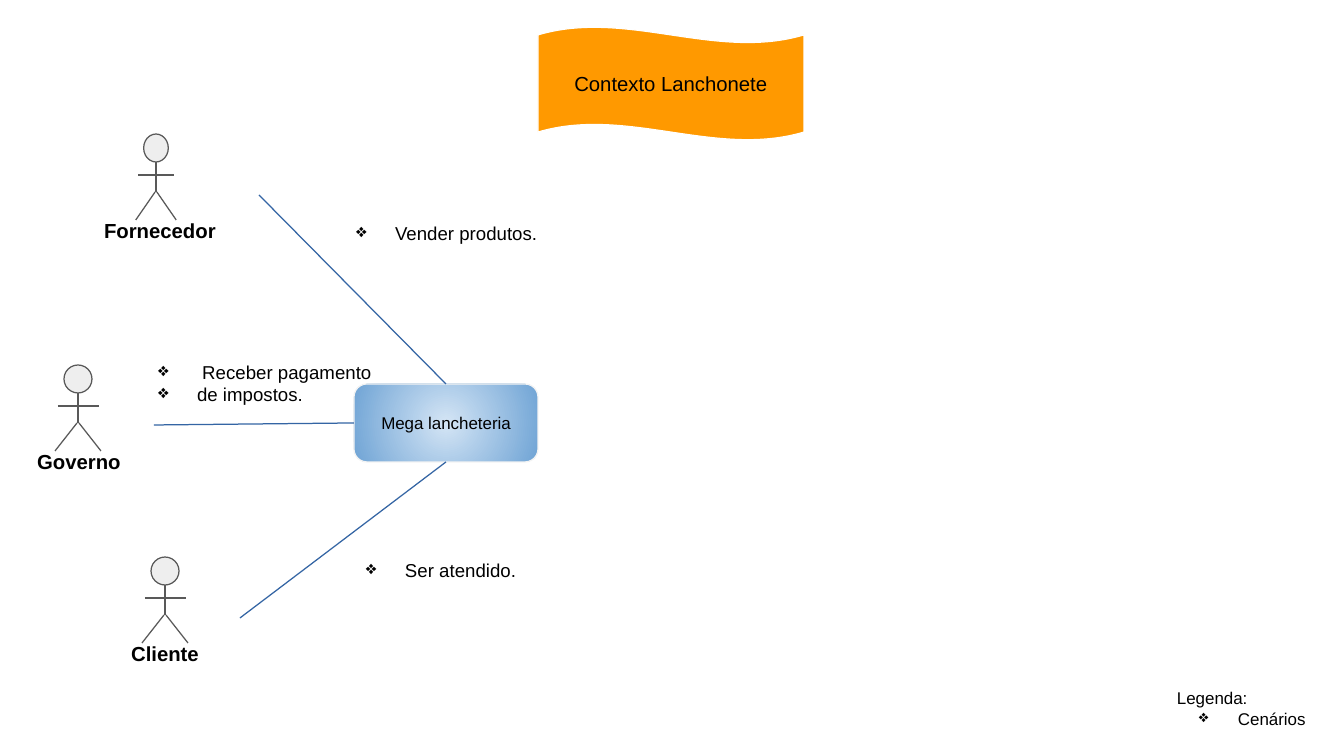
"""Builds the context diagram of a snack bar with its actors and scenarios."""
import pptx
import pptx.util
import pptx.dml.color
import pptx.enum.shapes
import pptx.enum.text
import pptx.oxml
import pptx.oxml.ns

PX = 914400 / 122
SHAPE = pptx.enum.shapes.MSO_SHAPE
ALIGN = pptx.enum.text.PP_ALIGN
qn = pptx.oxml.ns.qn


def px(*values):
    return [pptx.util.Emu(round(v * PX)) for v in values]


def rgb(value):
    return pptx.dml.color.RGBColor.from_string(value)


def write(sp, text, size, bold=False, align=ALIGN.LEFT, bullets_from=None,
          anchor=pptx.enum.text.MSO_ANCHOR.TOP):
    tf = sp.text_frame
    tf.word_wrap = True
    tf.vertical_anchor = anchor
    tf.margin_left = tf.margin_right = tf.margin_top = tf.margin_bottom = px(12)[0]
    for i, line in enumerate(text.split("\n")):
        p = tf.paragraphs[0] if i == 0 else tf.add_paragraph()
        p.alignment = align
        r = p.add_run()
        r.text = line
        r.font.name = "Arial"
        r.font.size = pptx.util.Pt(size)
        r.font.bold = bold
        r.font.color.rgb = rgb("000000")
        if bullets_from is not None and i >= bullets_from:
            pPr = p._p.get_or_add_pPr()
            indent, hanging = px(61, -39)
            pPr.set("marL", str(indent))
            pPr.set("indent", str(hanging))
            bullet = pptx.oxml.parse_xml(
                '<a:buChar xmlns:a="http://schemas.openxmlformats.org/drawingml/2006/main" char="❖"/>')
            pPr.append(bullet)


prs = pptx.Presentation()
prs.slide_width, prs.slide_height = px(1344, 756)
s = prs.slides.add_slide(prs.slide_layouts[6])

banner = s.shapes.add_shape(SHAPE.WAVE, *px(538, 27, 266, 113))
banner.adjustments[0] = 0.07
banner.fill.solid()
banner.fill.fore_color.rgb = rgb("FF9900")
system = s.shapes.add_shape(SHAPE.ROUNDED_RECTANGLE, *px(354, 384, 184, 78))
system.fill.gradient()
for stop, color in zip(system.fill.gradient_stops, ("D4E5F5", "70A4D5")):
    stop.color.rgb = rgb(color)
grad = system._element.spPr.find(qn("a:gradFill"))
grad.remove(grad.find(qn("a:lin")))
grad.append(pptx.oxml.parse_xml(
    '<a:path xmlns:a="http://schemas.openxmlformats.org/drawingml/2006/main" path="circle">'
    '<a:fillToRect l="50000" t="50000" r="50000" b="50000"/></a:path>'))
for sp, text, size, line in ((banner, "Contexto Lanchonete", 12, "FFFFFF"),
                             (system, "Mega lancheteria", 10, "F3F3F3")):
    sp.shadow.inherit = False
    sp.line.color.rgb = rgb(line)
    sp.line.width = pptx.util.Pt(0.74)
    write(sp, text, size, align=ALIGN.CENTER, anchor=pptx.enum.text.MSO_ANCHOR.MIDDLE)

lines = []
actors = (("Governo", 78, 365, 1, 79, 150),
          ("Fornecedor", 156, 134, 0.88, 160, 196),
          ("Cliente", 165, 557, 1, 165, 150))
for name, x, top, scale, label_x, label_w in actors:
    shapes = s.shapes.add_group_shape().shapes
    head = shapes.add_shape(SHAPE.FLOWCHART_CONNECTOR,
                            *px(x - 14 * scale, top, 28 * scale, 28))
    head.shadow.inherit = False
    head.fill.solid()
    head.fill.fore_color.rgb = rgb("EEEEEE")
    head.line.color.rgb = rgb("595959")
    head.line.width = pptx.util.Pt(0.74)
    for x1, y1, x2, y2 in ((0, 28, 0, 58), (-20, 41, 21, 41),
                           (-1, 58, -23, 86), (1, 58, 23, 86)):
        lines.append((shapes, "595959", 0.74,
                      (x + x1 * scale, top + y1, x + x2 * scale, top + y2)))
    label = shapes.add_textbox(*px(label_x - label_w / 2, top + 72, label_w, 50))
    write(label, name, 12, bold=True, align=ALIGN.CENTER)

for ends in ((259, 195, 446, 384), (240, 618, 446, 462), (154, 425, 354, 423)):
    lines.append((s.shapes, "3465A4", 0.75, ends))
for shapes, color, width, ends in lines:
    c = shapes.add_connector(pptx.enum.shapes.MSO_CONNECTOR.STRAIGHT, *px(*ends))
    c.line.color.rgb = rgb(color)
    c.line.width = pptx.util.Pt(width)
    c._element.spPr.append(pptx.oxml.parse_xml(
        '<a:effectLst xmlns:a="http://schemas.openxmlformats.org/drawingml/2006/main"/>'))

for text, size, bullets_from, box in (
        ("Vender produtos.", 11, 0, (322, 211, 445, 165)),
        ("Ser atendido.", 11, 0, (332, 548, 445, 122)),
        (" Receber pagamento\nde impostos.", 11, 0, (124, 349, 445, 122)),
        ("Legenda:\nCenários", 10, 1, (1165, 676, 170, 70))):
    write(s.shapes.add_textbox(*px(*box)), text, size, bullets_from=bullets_from)

prs.save("out.pptx")
